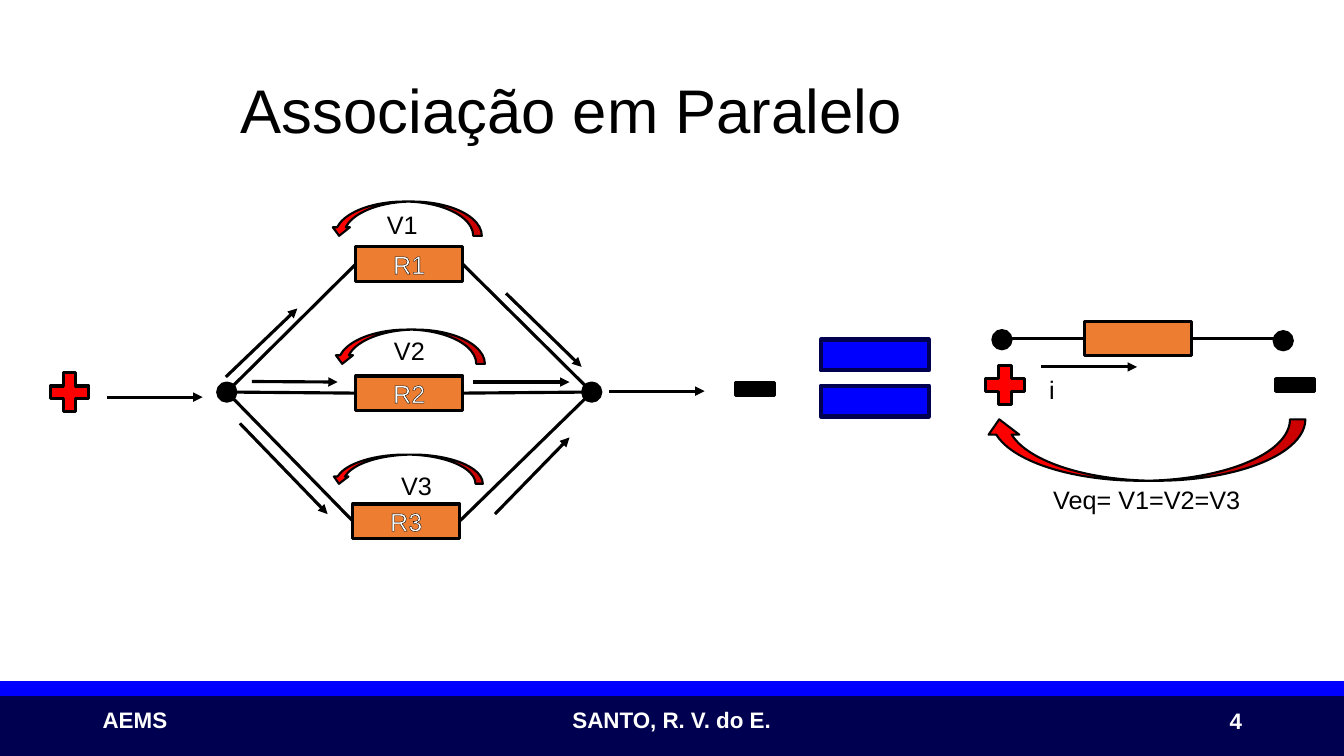
from pptx import Presentation
from pptx import util as u
from pptx.dml import color
from pptx.enum import shapes, text
from pptx.oxml import ns
from lxml import etree

COLUMNS, ROWS = 133.33, 75
BLACK, WHITE, RED, ORANGE = "000000", "FFFFFF", "FF0000", "ED7D31"
NAVY, BLUE = "000050", "0000FF"
PRESET = shapes.MSO_SHAPE
DOT = 1.8
RESISTOR = (10.6, 3.4)


def rgb(value):
    return color.RGBColor.from_string(value)


class CircuitSlide:
    font_name = "Arial"
    label_size = 18
    footer_size = 16
    wire_width = 2.25

    def __init__(self, presentation):
        self.column = presentation.slide_width / COLUMNS
        self.row = presentation.slide_height / ROWS
        self.slide = presentation.slides.add_slide(presentation.slide_layouts[5])

    def place(self, left, top, width, height):
        return [round(left * self.column), round(top * self.row),
                round(width * self.column), round(height * self.row)]

    def fill_text(self, shape, wording, size, ink=BLACK, bold=False,
                  align=text.PP_ALIGN.LEFT, anchor=text.MSO_ANCHOR.TOP):
        frame = shape.text_frame
        frame.text = wording
        frame.word_wrap = True
        frame.auto_size = text.MSO_AUTO_SIZE.NONE
        frame.vertical_anchor = anchor
        paragraph = frame.paragraphs[0]
        paragraph.alignment = align
        font = paragraph.runs[0].font
        font.name, font.size, font.bold = self.font_name, u.Pt(size), bold
        font.color.rgb = rgb(ink)
        return paragraph

    def title(self, wording, *box):
        shape = self.slide.shapes.title
        shape.left, shape.top, shape.width, shape.height = self.place(*box)
        paragraph = self.fill_text(shape, wording, 44, anchor=text.MSO_ANCHOR.MIDDLE)
        paragraph.line_spacing = 0.9

    def label(self, wording, *box, size=label_size, **style):
        shape = self.slide.shapes.add_textbox(*self.place(*box))
        self.fill_text(shape, wording, size, **style)

    def footer(self, wording, *box, **style):
        self.label(wording, *box, size=self.footer_size, ink=WHITE, bold=True, **style)

    def shape(self, preset, fill, *box, line=BLACK, weight=wire_width):
        shape = self.slide.shapes.add_shape(preset, *self.place(*box))
        shape.shadow.inherit = False
        shape.fill.solid()
        shape.fill.fore_color.rgb = rgb(fill)
        shape.line.color.rgb = rgb(line)
        shape.line.width = u.Pt(weight)
        return shape

    def resistor(self, left, top, name=None):
        shape = self.shape(PRESET.RECTANGLE, ORANGE, left, top, *RESISTOR)
        if name:
            paragraph = self.fill_text(shape, name, self.label_size, WHITE,
                                       align=text.PP_ALIGN.CENTER,
                                       anchor=text.MSO_ANCHOR.MIDDLE)
            properties = paragraph.runs[0].font._element
            outline = etree.Element(ns.qn("a:ln"), w=str(int(u.Pt(0.75))))
            fill = etree.SubElement(outline, ns.qn("a:solidFill"))
            etree.SubElement(fill, ns.qn("a:srgbClr"), val=BLACK)
            properties.insert(0, outline)

    def node(self, left, top):
        self.shape(PRESET.OVAL, BLACK, left, top, DOT, DOT)

    def polarity(self, plus_at, minus_at):
        self.shape(PRESET.MATH_PLUS, RED, *plus_at, 5.2, 5.2)
        self.shape(PRESET.MATH_MINUS, BLACK, *minus_at, 5.2, 5.4)

    def voltage(self, *box, upright=False):
        shape = self.shape(PRESET.CURVED_UP_ARROW, RED, *box, weight=1.5)
        transform = shape._element.spPr.xfrm
        transform.set("flipH", "1")
        if not upright:
            transform.set("flipV", "1")

    def wire(self, *ends, arrow=False):
        connector = self.slide.shapes.add_connector(
            shapes.MSO_CONNECTOR.STRAIGHT, *self.place(*ends))
        connector.line.color.rgb = rgb(BLACK)
        connector.line.width = u.Pt(self.wire_width)
        properties = connector._element.spPr
        if arrow:
            etree.SubElement(properties.find(ns.qn("a:ln")),
                             ns.qn("a:tailEnd"), type="triangle")
        etree.SubElement(properties, ns.qn("a:effectLst"))


def main():
    presentation = Presentation()
    presentation.slide_width = u.Inches(13.33)
    presentation.slide_height = u.Inches(7.5)
    slide = CircuitSlide(presentation)

    for fill, top, height in ((NAVY, 69, 6), (BLUE, 67.6, 1.35)):
        slide.shape(PRESET.RECTANGLE, fill, 0, top, COLUMNS, height, line=fill, weight=1)
    slide.footer("AEMS", 9.2, 69.6, 9, 3.7)
    slide.footer("SANTO, R. V. do E.", 55.8, 69.6, 24, 3.7)
    slide.footer("4", 94.2, 69.5, 30, 4, align=text.PP_ALIGN.RIGHT,
                 anchor=text.MSO_ANCHOR.MIDDLE)
    slide.title("Associação em Paralelo", 22.9, 4, 101.2, 14.5)

    branches = (
        (35.3, 24.5, (32.8, 20, 15, 3.4), (37.4, 20.3), 38.3),
        (35.3, 37.3, (33.1, 32.7, 15, 3.4), (38.1, 32.8), 38.9),
        (35, 50, (32.9, 45.1, 15, 2.9), (38.8, 46.2), 39.5),
    )
    width, height = RESISTOR
    for number, (left, top, arc, label_at, joint) in enumerate(branches, 1):
        middle = top + height / 2
        slide.wire(23.1, joint, left, middle)
        slide.wire(left + width, middle, 58.1, joint)
        slide.resistor(left, top, f"R{number}")
        slide.voltage(*arc)
        slide.label(f"V{number}", *label_at, 5.7, 4)
    for left in (21.6, 57.8):
        slide.node(left, 38)

    currents = (
        (10.6, 39.4, 20.1, 39.4), (60.4, 38.8, 69.9, 38.8),
        (22.4, 37.4, 29.5, 30.6), (50.2, 29.1, 57.7, 36.4),
        (25, 37.85, 33.5, 37.9), (46.9, 37.9, 56.5, 37.9),
        (23.8, 42, 32.5, 51), (49.1, 51, 56.5, 43.4),
        (103.3, 36.4, 112.8, 36.4),
    )
    for ends in currents:
        slide.wire(*ends, arrow=True)

    slide.polarity((4.3, 36.3), (72.3, 35.9))
    slide.shape(PRESET.MATH_EQUAL, BLUE, 79.5, 31, 14.6, 13, line=NAVY, weight=3)

    slide.wire(99.4, 33.6, 107.6, 33.6)
    slide.wire(118.2, 33.6, 126.4, 33.6)
    slide.resistor(107.6, 31.9)
    slide.node(98.5, 32.8)
    slide.node(126.4, 32.9)
    slide.polarity((97.1, 35.6), (125.9, 35.5))
    slide.voltage(97.6, 41.6, 31.9, 6.1, upright=True)
    slide.label("Veq= V1=V2=V3", 103.5, 47.6, 25.3, 4)
    slide.label("i", 103.1, 36.6, 5.2, 4)

    presentation.save("out.pptx")


if __name__ == "__main__":
    main()
